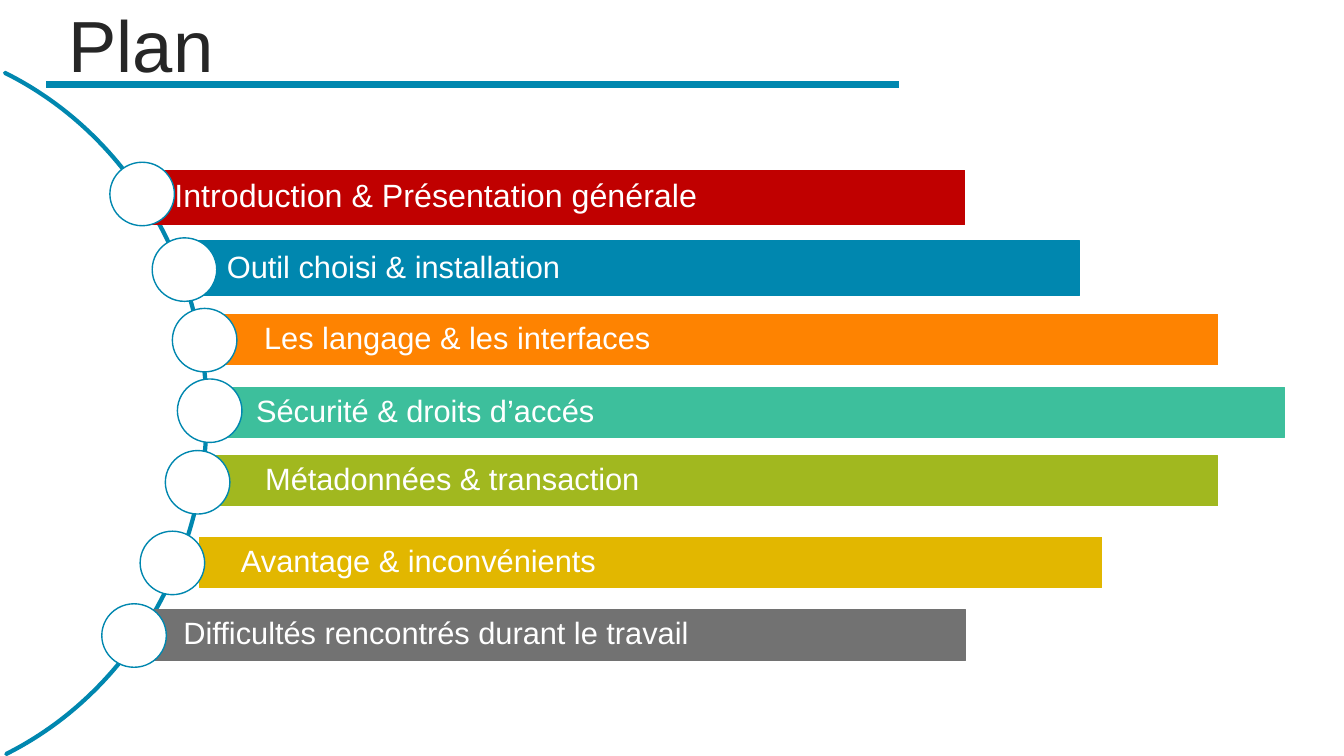
from lxml.etree import SubElement
from pptx import Presentation
from pptx.dml.color import RGBColor
from pptx.enum.shapes import MSO_CONNECTOR, MSO_SHAPE
from pptx.enum.text import MSO_ANCHOR, PP_ALIGN
from pptx.oxml.ns import qn
from pptx.util import Inches, Pt

WHITE = RGBColor(0xFF, 0xFF, 0xFF)
DARK = RGBColor(0x26, 0x26, 0x26)
BLUE = RGBColor(0x00, 0x87, 0xAF)
RED = RGBColor(0xC0, 0x00, 0x00)
ORANGE = RGBColor(0xFE, 0x83, 0x01)
TEAL = RGBColor(0x3D, 0xBF, 0x9C)
GREEN = RGBColor(0xA1, 0xB8, 0x1F)
YELLOW = RGBColor(0xE2, 0xB7, 0x00)
GRAY = RGBColor(0x72, 0x72, 0x72)

CIRCLE_WIDTH, CIRCLE_HEIGHT = 0.64, 0.63

presentation = Presentation()
presentation.slide_width = Inches(13.33)
presentation.slide_height = Inches(7.5)
slide = presentation.slides.add_slide(presentation.slide_layouts[5])


def write_text(shape, text, size, color, inset=0.1):
    frame = shape.text_frame
    frame.word_wrap = True
    frame.vertical_anchor = MSO_ANCHOR.MIDDLE
    frame.margin_left = Inches(inset)
    frame.margin_right = frame.margin_top = frame.margin_bottom = Inches(0.06)
    paragraph = frame.paragraphs[0]
    paragraph.alignment = PP_ALIGN.LEFT
    paragraph.line_spacing = 0.9
    run = paragraph.add_run()
    run.text = text
    run.font.name = "Arial"
    run.font.size = Pt(size)
    run.font.color.rgb = color


def add_outlined(kind, left, top, width, height, fill, line, line_width):
    shape = slide.shapes.add_shape(
        kind, Inches(left), Inches(top), Inches(width), Inches(height))
    shape.shadow.inherit = False
    if fill is None:
        shape.fill.background()
    else:
        shape.fill.solid()
        shape.fill.fore_color.rgb = fill
    shape.line.color.rgb = line
    shape.line.width = Pt(line_width)
    return shape


# Large arc that carries the circles
arc = add_outlined(MSO_SHAPE.BLOCK_ARC, -4.78, 0.39, 6.83, 7.43, None, BLUE, 3)
for index, value in enumerate((175.63, 40.24, 0)):
    arc.adjustments[index] = value

# Title and its underline
underline = slide.shapes.add_connector(
    MSO_CONNECTOR.STRAIGHT, Inches(0.46), Inches(0.84), Inches(8.92), Inches(0.84))
underline.line.color.rgb = BLUE
underline.line.width = Pt(4.5)
SubElement(underline.element.spPr, qn("a:effectLst"))

title = slide.shapes.title
title.left, title.top = Inches(0.58), Inches(0.04)
title.width, title.height = Inches(11.5), Inches(0.89)
write_text(title, "Plan", 51.7, DARK)

# Chapters: text, size, color, bar left, top, width, height, inset, circle left, top
chapters = [
    ("Introduction & Présentation générale", 23, RED, 1.32, 1.69, 8.25, 0.54, 0.41, 1.09, 1.61),
    ("Outil choisi & installation", 22, BLUE, 1.9, 2.39, 8.81, 0.54, 0.35, 1.51, 2.36),
    ("Les langage & les interfaces", 22, ORANGE, 2.21, 3.12, 9.87, 0.5, 0.41, 1.71, 3.06),
    ("Sécurité & droits d’accés", 22, TEAL, 2.04, 3.84, 10.7, 0.5, 0.5, 1.76, 3.76),
    ("Métadonnées & transaction", 22, GREEN, 1.96, 4.52, 10.12, 0.5, 0.67, 1.64, 4.47),
    ("Avantage & inconvénients", 22, YELLOW, 1.98, 5.33, 8.95, 0.5, 0.41, 1.39, 5.27),
    ("Difficultés rencontrés durant le travail", 22, GRAY, 1.41, 6.05, 8.17, 0.5, 0.41, 1.01, 5.99),
]
for text, size, color, left, top, width, height, inset, circle_left, circle_top in chapters:
    bar = add_outlined(MSO_SHAPE.RECTANGLE, left, top, width, height, color, color, 0.75)
    write_text(bar, text, size, WHITE, inset=inset)
    add_outlined(MSO_SHAPE.OVAL, circle_left, circle_top,
                 CIRCLE_WIDTH, CIRCLE_HEIGHT, WHITE, BLUE, 1)

presentation.save("out.pptx")
